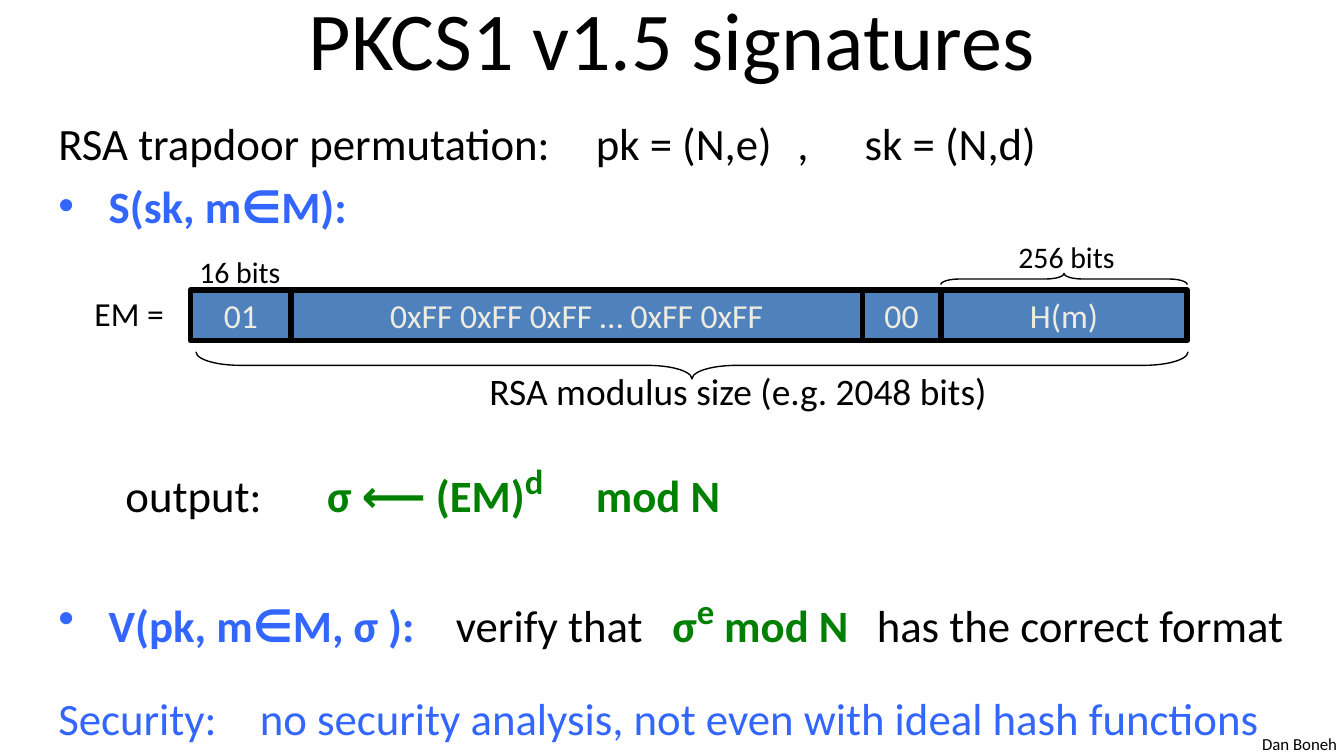
from lxml import etree
from pptx import Presentation
from pptx.dml.color import RGBColor as RGB
from pptx.enum.shapes import MSO_SHAPE as SHAPE
from pptx.enum.text import MSO_ANCHOR as ANCHOR, MSO_AUTO_SIZE as AUTO, PP_ALIGN as AL
from pptx.oxml.ns import qn
from pptx.util import Pt

BLACK = RGB(0x00, 0x00, 0x00)
BLUE = RGB(0x33, 0x66, 0xFF)
GREEN = RGB(0x00, 0x80, 0x00)
CELL = RGB(0x4F, 0x81, 0xBD)
CREAM = RGB(0xEE, 0xEC, 0xE1)


def style(r, size, color=BLACK, bold=False):
    r.font.name = "Calibri"
    r.font.size = Pt(size)
    r.font.color.rgb = color
    r.font.bold = bold


def outline(sp, width):
    sp.shadow.inherit = False
    sp.line.color.rgb = BLACK
    sp.line.width = Pt(width)


prs = Presentation()
prs.slide_width, prs.slide_height = Pt(720), Pt(405)
s = prs.slides.add_slide(prs.slide_layouts[1])

title = s.shapes.title
title.left, title.top, title.width, title.height = Pt(36), Pt(-13.5), Pt(648), Pt(67.5)
tf = title.text_frame
tf.text = "PKCS1 v1.5 signatures"
tf.auto_size = AUTO.NONE
tf.vertical_anchor = ANCHOR.MIDDLE
tf.paragraphs[0].alignment = AL.CENTER
style(tf.paragraphs[0].runs[0], 44)

body = s.placeholders[1]
body.left, body.top, body.width, body.height = Pt(24), Pt(58.5), Pt(684), Pt(346.5)
tf = body.text_frame
tf.auto_size = AUTO.NONE
tf.vertical_anchor = ANCHOR.TOP

# bullet, space before, line spacing, tab stops, runs
lines = [
    (False, 0, 1, (290.5, 406, 434),
     [("RSA trapdoor permutation:\tpk = (N,e)\t,\tsk = (N,d)", BLACK, False)]),
    (True, 4.8, 1, (), [("S(sk, m∈M):", BLUE, True)]),
    (False, 106.5, 1.3, (72, 167, 294),
     [("\toutput:\t", BLACK, False), ("σ ⟵ (EM)", GREEN, True),
      ("d", GREEN, True), ("\tmod N", GREEN, True)]),
    (True, 19.7, 1.3, (213, 329, 438.5),
     [("V(pk, m∈M, σ ):\t", BLUE, True), ("verify that\t", BLACK, False),
      ("σ", GREEN, True), ("e", GREEN, True), (" mod N\t", GREEN, True),
      ("has the correct format", BLACK, False)]),
    (False, 19.7, 1, (107,),
     [("Security:\tno security analysis, not even with ideal hash functions", BLUE, False)]),
]
for i, (bullet, before, spacing, stops, runs) in enumerate(lines):
    p = tf.paragraphs[0] if i == 0 else tf.add_paragraph()
    p.space_before = Pt(before)
    p.line_spacing = spacing
    pPr = p._p.get_or_add_pPr()
    pPr.set("marL", str(Pt(27 if bullet else 0)))
    pPr.set("indent", str(Pt(-27 if bullet else 0)))
    if bullet:
        etree.SubElement(pPr, qn("a:buChar")).set("char", "•")
    else:
        etree.SubElement(pPr, qn("a:buNone"))
    if stops:
        tabs = etree.SubElement(pPr, qn("a:tabLst"))
        for stop in stops:
            tab = etree.SubElement(tabs, qn("a:tab"))
            tab.set("pos", str(Pt(stop)))
            tab.set("algn", "l")
    for text, color, bold in runs:
        r = p.add_run()
        r.text = text
        raised = text in ("d", "e")
        style(r, 32 if raised else 24, color, bold)
        if raised:
            r.font._element.set("baseline", "30000")

x = 102
for text, width in [("01", 54), ("0xFF 0xFF 0xFF … 0xFF 0xFF", 306), ("00", 42), ("H(m)", 132)]:
    sp = s.shapes.add_shape(SHAPE.RECTANGLE, Pt(x), Pt(155.5), Pt(width), Pt(27))
    outline(sp, 3)
    sp.fill.solid()
    sp.fill.fore_color.rgb = CELL
    tf = sp.text_frame
    tf.text = text
    tf.word_wrap = False
    tf.vertical_anchor = ANCHOR.MIDDLE
    tf.paragraphs[0].alignment = AL.CENTER
    style(tf.paragraphs[0].runs[0], 18, CREAM)
    x += width

for left, top, width, height, rotation in [(363.5, -70, 14.5, 531.5, 270), (567, 83.5, 6, 132, 90)]:
    sp = s.shapes.add_shape(SHAPE.LEFT_BRACE, Pt(left), Pt(top), Pt(width), Pt(height))
    sp.rotation = rotation
    sp.adjustments[0], sp.adjustments[1] = 1.64, 0.5
    sp.fill.background()
    outline(sp, 0.75)

labels = [
    ("RSA modulus size (e.g. 2048 bits)", 249, 193.5, 293, 31.5, 20, AL.CENTER),
    ("16 bits", 99.5, 132.5, 58, 26.5, 16, AL.CENTER),
    ("EM =", 43.5, 153.5, 52, 29, 18, AL.LEFT),
    ("256 bits", 538.5, 124.5, 67, 26.5, 16, AL.LEFT),
    ("Dan Boneh", 669, 389.5, 54.5, 18, 9, AL.LEFT),
]
for text, left, top, width, height, size, align in labels:
    tf = s.shapes.add_textbox(Pt(left), Pt(top), Pt(width), Pt(height)).text_frame
    tf.text = text
    tf.word_wrap = False
    tf.paragraphs[0].alignment = align
    style(tf.paragraphs[0].runs[0], size)

prs.save("out.pptx")
